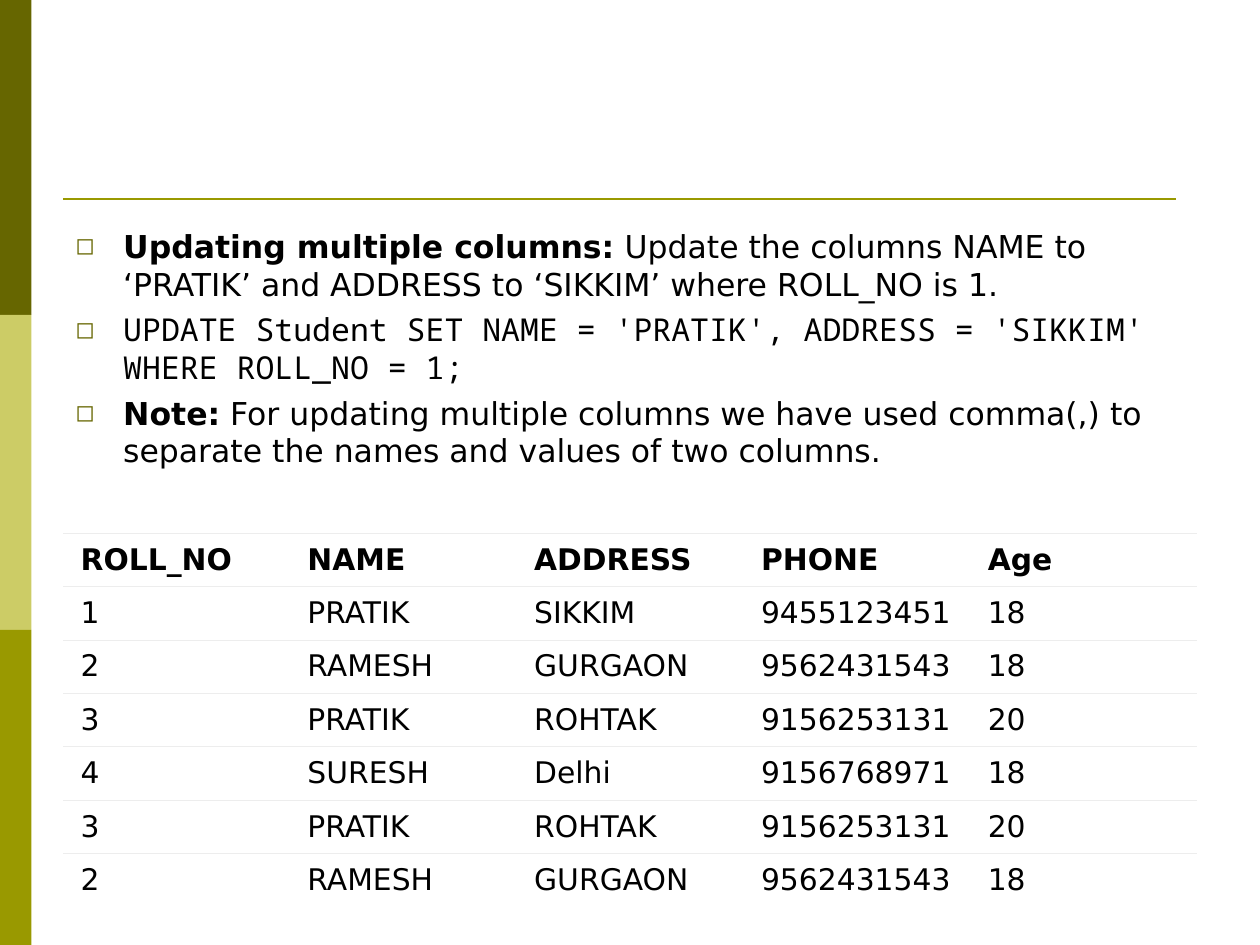
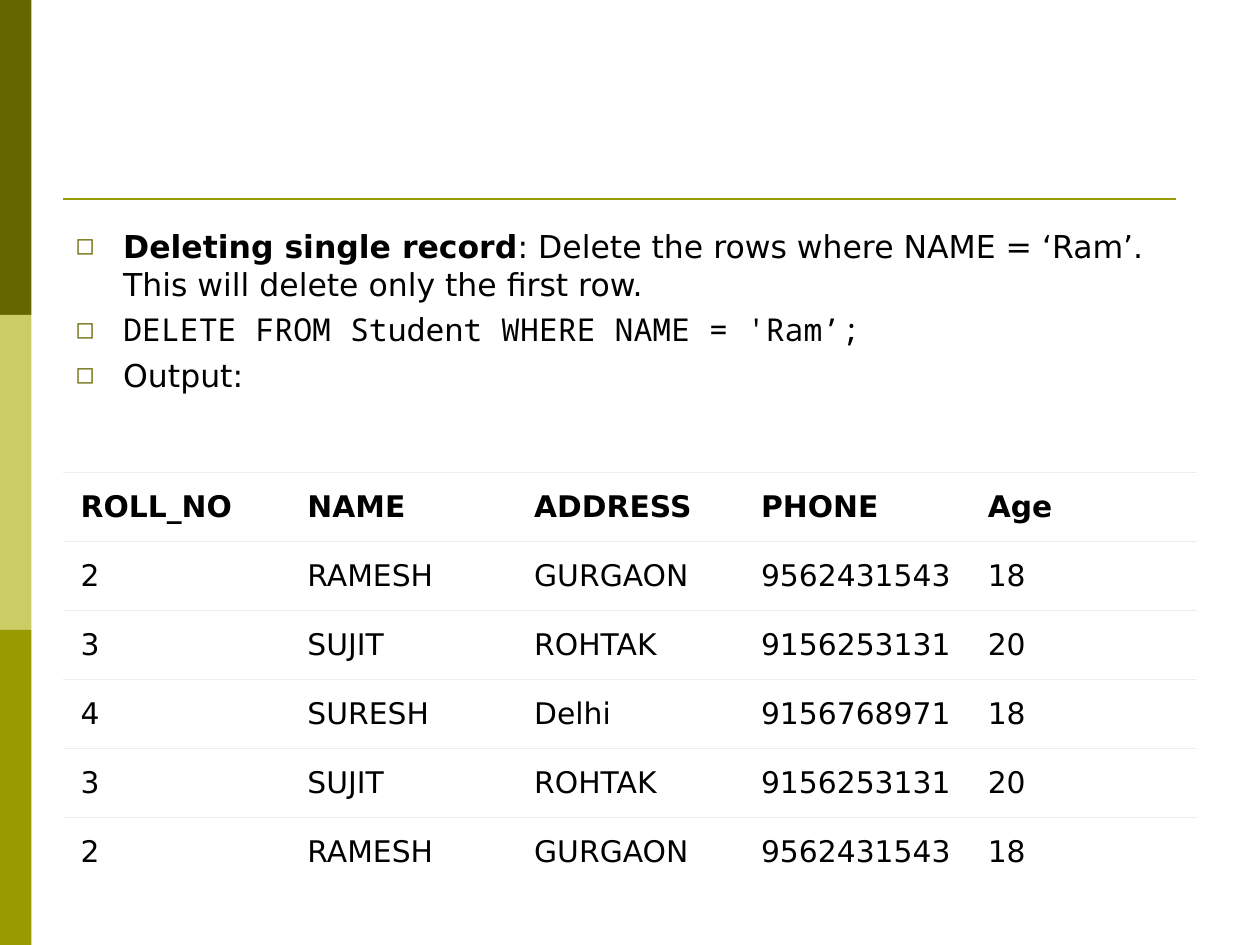
"""Build two slides on SQL UPDATE and DELETE, each with notes and a result table."""
from dataclasses import dataclass

from lxml.etree import SubElement
from pptx import Presentation
from pptx.dml.color import RGBColor as RGB
from pptx.enum.shapes import MSO_CONNECTOR as CONNECTOR, MSO_SHAPE as SHAPE
from pptx.enum.text import MSO_ANCHOR as ANCHOR
from pptx.oxml import parse_xml
from pptx.oxml.ns import nsdecls, qn
from pptx.util import Inches, Pt

HEADINGS = ("ROLL_NO", "NAME", "ADDRESS", "PHONE", "Age")

SLIDES = [
    {
        "notes": [
            [("Updating multiple columns:", "bold"),
             (" Update the columns NAME to ‘PRATIK’ and ADDRESS to ‘SIKKIM’ where ROLL_NO is 1.", "plain")],
            [("UPDATE Student SET NAME = 'PRATIK', ADDRESS = 'SIKKIM' WHERE ROLL_NO = 1;", "code")],
            [("Note:", "bold"),
             (" For updating multiple columns we have used comma(,) to separate the names and values of two columns.",
              "plain")],
        ],
        "students": [
            ("1", "PRATIK", "SIKKIM", "9455123451", "18"),
            ("2", "RAMESH", "GURGAON", "9562431543", "18"),
            ("3", "PRATIK", "ROHTAK", "9156253131", "20"),
            ("4", "SURESH", "Delhi", "9156768971", "18"),
            ("3", "PRATIK", "ROHTAK", "9156253131", "20"),
            ("2", "RAMESH", "GURGAON", "9562431543", "18"),
        ],
        "table_top": 4.23,
        "table_height": 2.97,
    },
    {
        "notes": [
            [("Deleting single record", "bold"),
             (": Delete the rows where NAME = ‘Ram’. This will delete only the first row.", "plain")],
            [("DELETE FROM Student WHERE NAME = 'Ram’;", "code")],
            [("Output:", "plain")],
        ],
        "students": [
            ("2", "RAMESH", "GURGAON", "9562431543", "18"),
            ("3", "SUJIT", "ROHTAK", "9156253131", "20"),
            ("4", "SURESH", "Delhi", "9156768971", "18"),
            ("3", "SUJIT", "ROHTAK", "9156253131", "20"),
            ("2", "RAMESH", "GURGAON", "9562431543", "18"),
        ],
        "table_top": 3.75,
        "table_height": 3.29,
    },
]


@dataclass(frozen=True)
class Theme:
    bands: tuple = ("666600", "CCCC66", "999900")
    rule: str = "999900"
    bullet: str = "666600"
    text: str = "000000"
    paper: str = "FFFFFF"
    border: str = "EDEDED"
    sans: str = "DejaVu Sans"
    mono: str = "Noto Sans Mono"
    note_size: int = 18
    cell_size: int = 17


THEME = Theme()
WIDTH, HEIGHT = 10, 7.5
LEFT, CONTENT_WIDTH = 0.5, 9


def style_run(run, size, style):
    run.font.name = THEME.mono if style == "code" else THEME.sans
    run.font.size = Pt(size)
    run.font.bold = style == "bold"
    run.font.color.rgb = RGB.from_string(THEME.text)


def add_frame(slide):
    band_height = HEIGHT / len(THEME.bands)
    for index, color in enumerate(THEME.bands):
        band = slide.shapes.add_shape(SHAPE.RECTANGLE, 0, Inches(index * band_height),
                                      Inches(0.25), Inches(band_height))
        band.shadow.inherit = False
        band.fill.solid()
        band.fill.fore_color.rgb = RGB.from_string(color)
        band.line.fill.background()
    rule = slide.shapes.add_connector(CONNECTOR.STRAIGHT, Inches(LEFT), Inches(1.58),
                                      Inches(9.33), Inches(1.58))
    rule.line.color.rgb = RGB.from_string(THEME.rule)
    rule.line.width = Pt(1.5)
    SubElement(rule._element.spPr, qn("a:effectLst"))


def add_bullet(paragraph):
    props = paragraph._p.get_or_add_pPr()
    props.set("marL", str(Inches(0.38)))
    props.set("indent", str(-Inches(0.38)))
    color = SubElement(props, qn("a:buClr"))
    SubElement(color, qn("a:srgbClr"), val=THEME.bullet)
    SubElement(props, qn("a:buSzPct"), val="75000")
    SubElement(props, qn("a:buFont"), typeface=THEME.sans)
    SubElement(props, qn("a:buChar"), char="◻")


def add_notes(slide, notes):
    frame = slide.shapes.add_textbox(Inches(LEFT), Inches(1.75),
                                     Inches(CONTENT_WIDTH), Inches(4.95)).text_frame
    frame.word_wrap = True
    for index, parts in enumerate(notes):
        paragraph = frame.add_paragraph() if index else frame.paragraphs[0]
        add_bullet(paragraph)
        if index:
            paragraph.space_before = Pt(4.5)
        for words, style in parts:
            run = paragraph.add_run()
            run.text = words
            style_run(run, THEME.note_size, style)


def set_borders(cell, visible):
    props = cell._tc.get_or_add_tcPr()
    for position, side in enumerate("LRTB"):
        paint = (f'<a:solidFill><a:srgbClr val="{THEME.border}"/></a:solidFill>'
                 if side in visible else "<a:noFill/>")
        props.insert(position, parse_xml(
            f'<a:ln{side} {nsdecls("a")} w="{Pt(0.34)}">{paint}</a:ln{side}>'))


def add_students(slide, students, top, height):
    rows = [HEADINGS, *students]
    table = slide.shapes.add_table(len(rows), len(HEADINGS), Inches(LEFT), Inches(top),
                                   Inches(CONTENT_WIDTH), Inches(height)).table
    table.horz_banding = False
    for row_index, values in enumerate(rows):
        table.rows[row_index].height = Inches(height / len(rows))
        for column, value in enumerate(values):
            cell = table.cell(row_index, column)
            cell.text = value
            cell.vertical_anchor = ANCHOR.MIDDLE
            cell.margin_left = cell.margin_right = Inches(0.14)
            cell.margin_top = cell.margin_bottom = Inches(0.05)
            cell.fill.solid()
            cell.fill.fore_color.rgb = RGB.from_string(THEME.paper)
            set_borders(cell, "T" if row_index == len(students) else "TB")
            style_run(cell.text_frame.paragraphs[0].runs[0], THEME.cell_size,
                      "plain" if row_index else "bold")


def main():
    deck = Presentation()
    deck.slide_width, deck.slide_height = Inches(WIDTH), Inches(HEIGHT)
    blank_layout = deck.slide_layouts[6]
    for content in SLIDES:
        slide = deck.slides.add_slide(blank_layout)
        add_frame(slide)
        add_notes(slide, content["notes"])
        add_students(slide, content["students"], content["table_top"], content["table_height"])
    deck.save("out.pptx")


if __name__ == "__main__":
    main()
